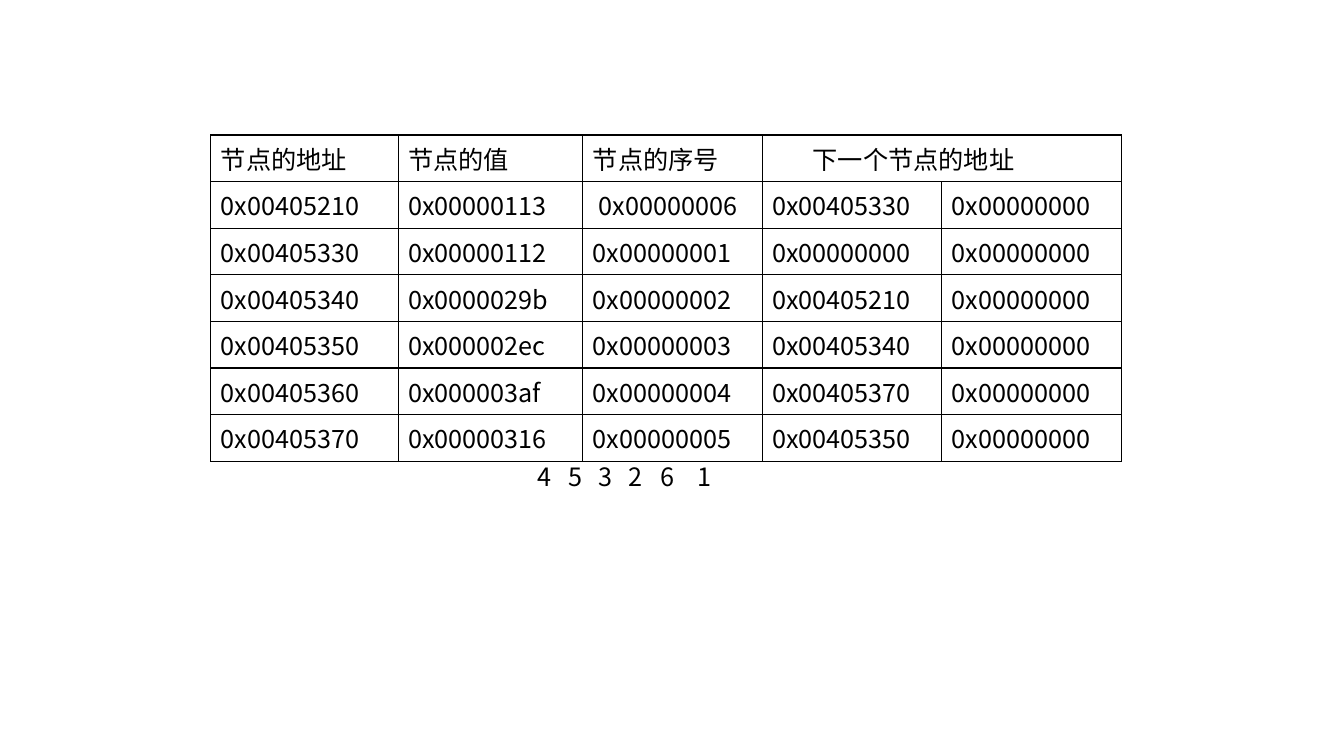
import lxml.etree
import pptx
import pptx.dml.color
import pptx.oxml.ns
import pptx.util

Inches = pptx.util.Inches
qn = pptx.oxml.ns.qn

COLORS = {"text": "000000", "border": "000000", "cell": "FFFFFF"}
FONT = "Noto Sans CJK SC"
COLUMN_WIDTHS = [1.86, 1.83, 1.78, 1.78, 1.78]
ROW_HEIGHT = 0.46
ROWS = [
    ["节点的地址", "节点的值", "节点的序号", "下一个节点的地址", ""],
    ["0x00405210", "0x00000113", "0x00000006", "0x00405330", "0x00000000"],
    ["0x00405330", "0x00000112", "0x00000001", "0x00000000", "0x00000000"],
    ["0x00405340", "0x0000029b", "0x00000002", "0x00405210", "0x00000000"],
    ["0x00405350", "0x000002ec", "0x00000003", "0x00405340", "0x00000000"],
    ["0x00405360", "0x000003af", "0x00000004", "0x00405370", "0x00000000"],
    ["0x00405370", "0x00000316", "0x00000005", "0x00405350", "0x00000000"],
]
LEFT_MARGINS = {(0, 3): 0.5, (1, 2): 0.16}
NODE_ORDER = ["4", "5", "3", "2", "6", "1"]
ORDER_TABS = [0.31, 0.61, 0.91, 1.22, 1.59]


def style_paragraph(paragraph):
    paragraph.font.size = pptx.util.Pt(18)
    paragraph.font.color.rgb = pptx.dml.color.RGBColor.from_string(COLORS["text"])
    paragraph.font.name = FONT
    latin = next(paragraph._p.iter(qn("a:latin")))
    east_asian = lxml.etree.Element(qn("a:ea"), typeface=FONT)
    latin.addnext(east_asian)


def add_borders(cell):
    properties = cell._tc.get_or_add_tcPr()
    for position, side in enumerate(["a:lnL", "a:lnR", "a:lnT", "a:lnB"]):
        line = lxml.etree.Element(qn(side), w=str(pptx.util.Pt(1)))
        fill = lxml.etree.SubElement(line, qn("a:solidFill"))
        lxml.etree.SubElement(fill, qn("a:srgbClr"), val=COLORS["border"])
        properties.insert(position, line)


presentation = pptx.Presentation()
presentation.slide_width = Inches(13.33)
presentation.slide_height = Inches(7.5)
slide = presentation.slides.add_slide(presentation.slide_layouts[6])

table = slide.shapes.add_table(
    len(ROWS), len(COLUMN_WIDTHS), Inches(2.09), Inches(1.34),
    Inches(sum(COLUMN_WIDTHS)), Inches(ROW_HEIGHT * len(ROWS)),
).table
table.first_row = False
table.horz_banding = False
for column, width in zip(table.columns, COLUMN_WIDTHS):
    column.width = Inches(width)
for row_index, texts in enumerate(ROWS):
    table.rows[row_index].height = Inches(ROW_HEIGHT)
    for column_index, text in enumerate(texts):
        cell = table.cell(row_index, column_index)
        cell.text = text
        cell.margin_left = Inches(LEFT_MARGINS.get((row_index, column_index), 0.1))
        cell.fill.solid()
        cell.fill.fore_color.rgb = pptx.dml.color.RGBColor.from_string(COLORS["cell"])
        add_borders(cell)
        style_paragraph(cell.text_frame.paragraphs[0])
table.cell(0, 3).merge(table.cell(0, 4))

order_box = slide.shapes.add_textbox(Inches(5.23), Inches(4.53), Inches(2.1), Inches(0.4))
order_box.text_frame.word_wrap = True
order_paragraph = order_box.text_frame.paragraphs[0]
order_paragraph.text = "\t".join(NODE_ORDER)
tab_list = lxml.etree.SubElement(order_paragraph._p.get_or_add_pPr(), qn("a:tabLst"))
for position in ORDER_TABS:
    lxml.etree.SubElement(tab_list, qn("a:tab"), pos=str(Inches(position)), algn="l")
style_paragraph(order_paragraph)

presentation.save("out.pptx")
